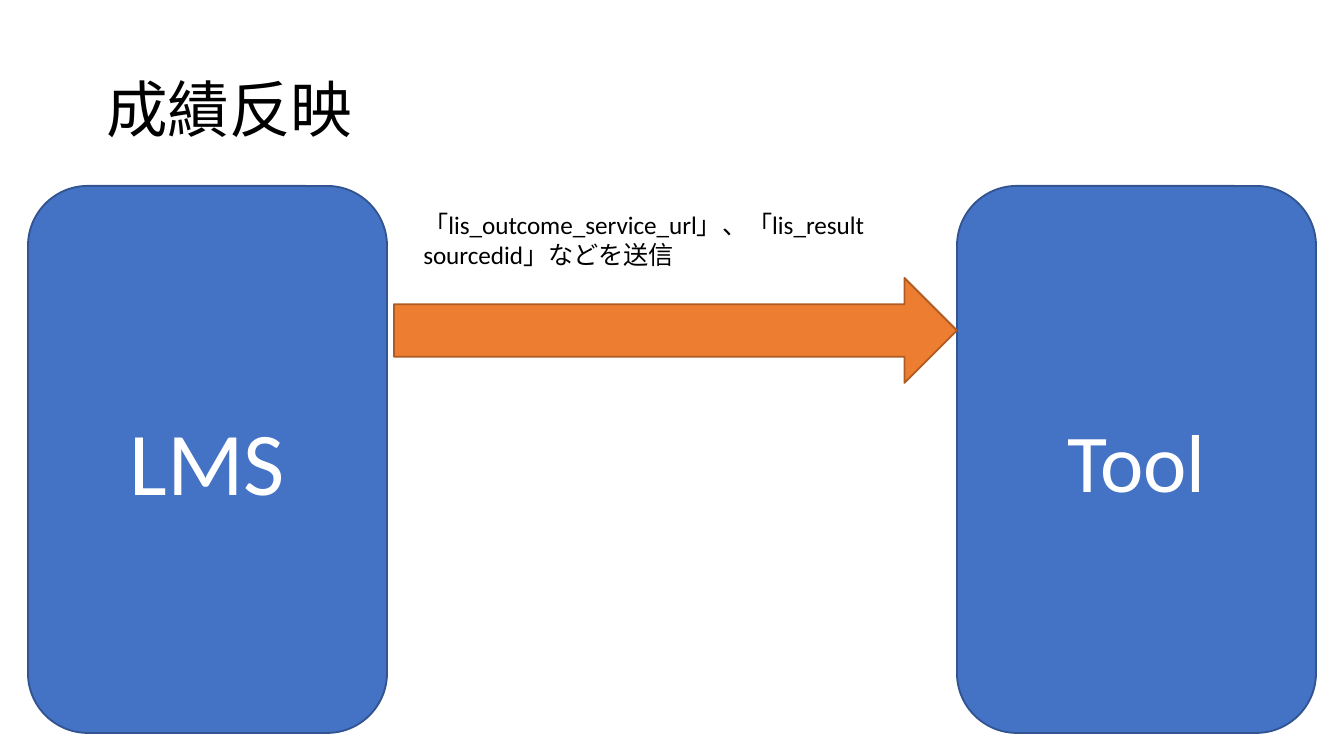
"""Build the grade passback slide: an LMS sends result fields to a tool."""
from pptx import Presentation
from pptx.dml.color import RGBColor
from pptx.enum.shapes import MSO_SHAPE
from pptx.enum.text import MSO_ANCHOR, PP_ALIGN
from pptx.util import Pt

ROUNDED, ARROW = MSO_SHAPE.ROUNDED_RECTANGLE, MSO_SHAPE.RIGHT_ARROW
TOP, MIDDLE = MSO_ANCHOR.TOP, MSO_ANCHOR.MIDDLE
LEFT, CENTER = PP_ALIGN.LEFT, PP_ALIGN.CENTER
EMU_PER_PX = 914400 / 134.4

THEME = {
    "font": "Calibri",
    "text": RGBColor.from_string("000000"),
    "label": RGBColor.from_string("FFFFFF"),
    "system": RGBColor.from_string("4472C4"),
    "system_line": RGBColor.from_string("325491"),
    "flow": RGBColor.from_string("ED7D31"),
    "flow_line": RGBColor.from_string("AF5C24"),
    "title_size": 33,
    "lms_size": 48,
    "tool_size": 44,
    "note_size": 13.5,
}


def px(*lengths):
    return [round(length * EMU_PER_PX) for length in lengths]


def write(box, text, size, color, align, anchor, spacing=1.0):
    frame = box.text_frame
    frame.word_wrap = True
    frame.vertical_anchor = anchor
    para = frame.paragraphs[0]
    para.alignment = align
    para.line_spacing = spacing
    span = para.add_run()
    span.text = text
    formats = {"name": THEME["font"], "size": Pt(THEME[size])}
    for name, value in formats.items():
        setattr(span.font, name, value)
    span.font.color.rgb = THEME[color]


deck = Presentation()
deck.slide_width, deck.slide_height = px(1344, 756)
page = deck.slides.add_slide(deck.slide_layouts[6])

shapes = [
    (ROUNDED, (28, 186, 359, 547), "system", "LMS", "lms_size"),
    (ROUNDED, (957, 186, 359, 547), "system", "Tool", "tool_size"),
    (ARROW, (394, 278, 563, 105), "flow", None, None),
]
for kind, place, color, label, size in shapes:
    box = page.shapes.add_shape(kind, *px(*place))
    box.shadow.inherit = False
    box.fill.solid()
    box.fill.fore_color.rgb = THEME[color]
    box.line.color.rgb = THEME[color + "_line"]
    box.line.width = Pt(1)
    if label:
        write(box, label, size, "label", CENTER, MIDDLE)

texts = [
    ((93, 40, 1159, 146), "成績反映", "title_size", MIDDLE, 0.9),
    ((410, 203, 524, 75),
     "「lis_outcome_service_url」、「lis_result sourcedid」などを送信",
     "note_size", TOP, 1.0),
]
for place, text, size, anchor, spacing in texts:
    box = page.shapes.add_textbox(*px(*place))
    write(box, text, size, "text", LEFT, anchor, spacing)

deck.save("out.pptx")
